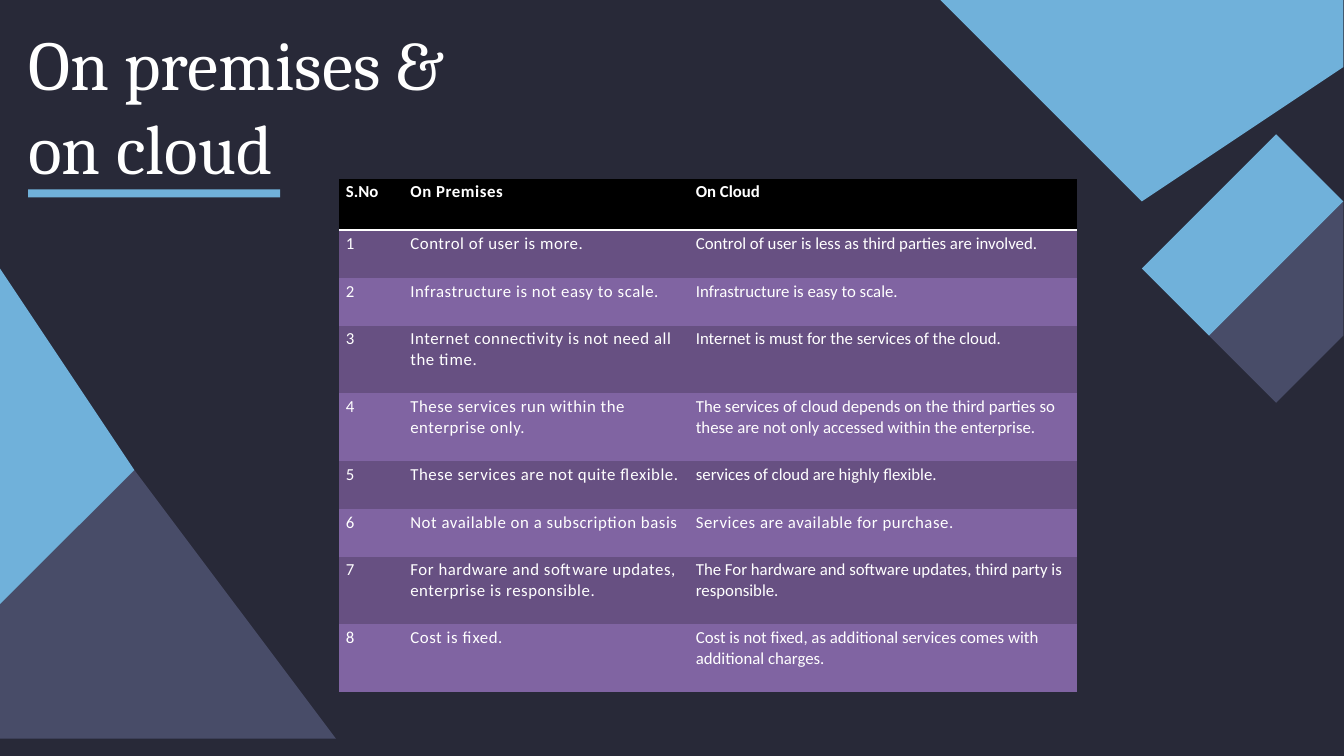
import pptx
import pptx.dml.color
import pptx.enum.shapes
import pptx.oxml.ns
import pptx.util
from lxml import etree

Inches, Pt = pptx.util.Inches, pptx.util.Pt
WIDTH, HEIGHT = 20.01, 11.26
MARGIN = 0.42
TITLE_TOP, TITLE_HEIGHT = 0.3, 2.52
NIGHT, SLATE, SKY, WHITE = "282938", "484C68", "70B1DA", "FFFFFF"


def paint(fill, color):
    fill.solid()
    fill.fore_color.rgb = pptx.dml.color.RGBColor.from_string(color)


def finish(shape, color):
    """Give a shape a flat fill without outline or shadow."""
    paint(shape.fill, color)
    shape.line.fill.background()
    shape.shadow.inherit = False


deck = pptx.Presentation()
deck.slide_width, deck.slide_height = Inches(WIDTH), Inches(HEIGHT)
slide = deck.slides.add_slide(deck.slide_layouts[6])
paint(slide.background.fill, NIGHT)

# Title and its underline
title = slide.shapes.add_textbox(
    Inches(MARGIN), Inches(TITLE_TOP), Inches(7.25), Inches(TITLE_HEIGHT)).text_frame
title.word_wrap = True
title.margin_left = title.margin_right = title.margin_top = title.margin_bottom = 0
title.text = "On premises & on cloud"
title_font = title.paragraphs[0].runs[0].font
title_font.name, title_font.size = "Cambria", Pt(75)
paint(title_font.fill, WHITE)

# Comparison table
header = ("S.No", "On Premises", "On Cloud")
comparisons = [
    ("Control of user is more.",
     "Control of user is less as third parties are involved."),
    ("Infrastructure is not easy to scale.",
     "Infrastructure is easy to scale."),
    ("Internet connectivity is not need all the time.",
     "Internet is must for the services of the cloud."),
    ("These services run within the enterprise only.",
     "The services of cloud depends on the third parties so these are not only "
     "accessed within the enterprise."),
    ("These services are not quite flexible.",
     "services of cloud are highly flexible."),
    ("Not available on a subscription basis",
     "Services are available for purchase."),
    ("For hardware and software updates, enterprise is responsible.",
     "The For hardware and software updates, third party is responsible."),
    ("Cost is fixed.",
     "Cost is not fixed, as additional services comes with additional charges."),
]
rows = [header] + [(str(n), *pair) for n, pair in enumerate(comparisons, 1)]
column_widths = (0.96, 4.25, 5.77)
ONE_LINE, TWO_LINES = 0.71, 1.01
row_heights = [0.77] + [ONE_LINE, ONE_LINE, TWO_LINES, TWO_LINES] * 2

table = slide.shapes.add_table(
    len(rows), len(header), Inches(5.05), Inches(2.66),
    Inches(sum(column_widths)), Inches(sum(row_heights))).table
NO_STYLE_NO_GRID = "{2D5ABB26-0587-4C30-8999-92F81FD0307C}"
table._tbl.tblPr.find(pptx.oxml.ns.qn("a:tableStyleId")).text = NO_STYLE_NO_GRID
for column, width in zip(table.columns, column_widths):
    column.width = Inches(width)

for r, texts in enumerate(rows):
    table.rows[r].height = Inches(row_heights[r])
    band = "000000" if r == 0 else ("8064A2", "675082")[r % 2]
    for c, text in enumerate(texts):
        cell = table.cell(r, c)
        cell.text = text
        run = cell.text_frame.paragraphs[0].runs[0]
        run.font.name, run.font.size, run.font.bold = "Calibri", Pt(18), r == 0
        paint(run.font.fill, WHITE)
        if c == 1 or text == "Services are available for purchase.":
            run.font._element.set("spc", "60")
        if r == 0:
            properties = cell._tc.get_or_add_tcPr()
            rule = etree.SubElement(properties, pptx.oxml.ns.qn("a:lnB"), w=str(Pt(2)))
            rule_fill = etree.SubElement(rule, pptx.oxml.ns.qn("a:solidFill"))
            etree.SubElement(rule_fill, pptx.oxml.ns.qn("a:srgbClr"), val=WHITE)
        paint(cell.fill, band)

underline = slide.shapes.add_shape(
    pptx.enum.shapes.MSO_SHAPE.RECTANGLE, Inches(MARGIN),
    Inches(TITLE_TOP + TITLE_HEIGHT), Inches(3.75), Inches(0.12))
finish(underline, SKY)

# Tilted squares, cut off at the slide's edges
squares = [
    (SLATE, [(1.52, 7.44), (0, 8.96), (0, HEIGHT), (4.76, HEIGHT), (5.05, 10.96)]),
    (SKY, [(0, 4.44), (0, 8.66), (2.11, 6.55)]),
    (SLATE, [(19.81, 3.06), (17.91, 4.96), (19.22, 6.27), (WIDTH, 5.49), (WIDTH, 3.25)]),
    (SKY, [(19.91, 3.16), (19.22, 2.47), (17.32, 4.37), (18.01, 5.06)]),
    (SKY, [(WIDTH, 0), (13.82, 0), (17.19, 3.36), (WIDTH, 0.55)]),
]
for color, corners in squares:
    outline = slide.shapes.build_freeform(*corners[0], scale=Inches(1))
    outline.add_line_segments(corners[1:], close=True)
    finish(outline.convert_to_shape(), color)

deck.save("out.pptx")
